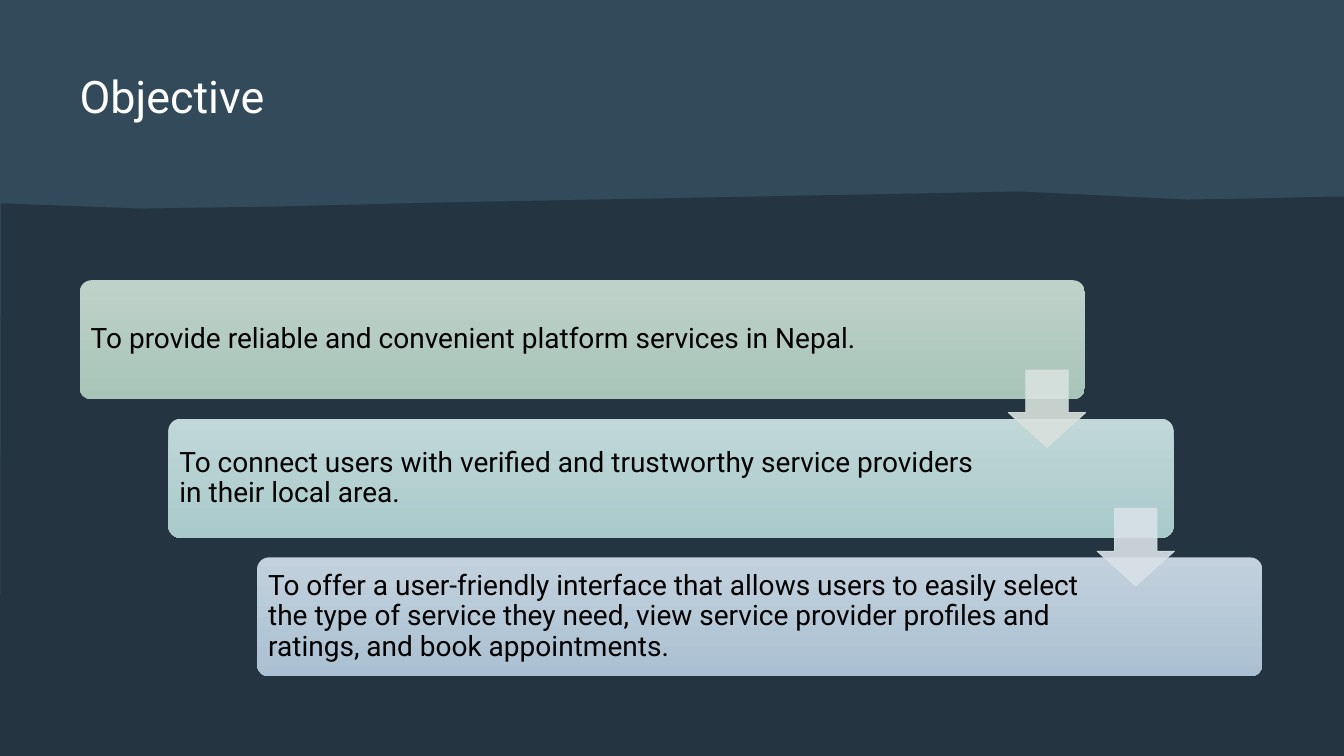
from lxml.etree import SubElement
from pptx import Presentation
from pptx.dml.color import RGBColor
from pptx.enum.shapes import MSO_SHAPE
from pptx.enum.text import MSO_ANCHOR
from pptx.oxml.ns import qn
from pptx.util import Inches, Pt

COLORS = {
    "night": "243541", "slate": "334A5B", "white": "FFFFFF", "black": "000000",
    "green_top": "BFD2CA", "green_end": "A8C4B8",
    "teal_top": "C1D7D8", "teal_end": "A9CACB",
    "blue_top": "C2D1DD", "blue_end": "ABC0D2",
    "green_arrow": "D8E2DE", "blue_arrow": "D9E1E8",
}
WIDTH, HEIGHT = 13.33, 7.5
MARGIN = 0.79
CARD_WIDTH, CARD_HEIGHT = 9.97, 1.18
CARDS_TOP = 2.78
STEP_X = (WIDTH - 2 * MARGIN - CARD_WIDTH) / 2 - 0.01
STEP_Y = 1.375
CARD_PADDING = 0.03
ARROW_SIZE = 0.77


def color(name):
    return RGBColor.from_string(COLORS[name])


def add_text(text, left, top, width, height, *, size, ink, inset=0,
             anchor=MSO_ANCHOR.TOP, spacing=None):
    box = slide.shapes.add_textbox(*map(Inches, (left, top, width, height)))
    frame = box.text_frame
    frame.word_wrap = True
    frame.vertical_anchor = anchor
    frame.margin_left = frame.margin_right = Inches(inset)
    frame.margin_top = frame.margin_bottom = Inches(inset)
    paragraph = frame.paragraphs[0]
    paragraph.text = text
    paragraph.line_spacing = spacing
    paragraph.font.name = "Roboto"
    paragraph.font.size = Pt(size)
    paragraph.font.color.rgb = color(ink)


presentation = Presentation()
presentation.slide_width = Inches(WIDTH)
presentation.slide_height = Inches(HEIGHT)
slide = presentation.slides.add_slide(presentation.slide_layouts[6])
slide.background.fill.solid()
slide.background.fill.fore_color.rgb = color("night")

# Backdrop: a lighter band above a dark, uneven ground
band = slide.shapes.add_shape(
    MSO_SHAPE.RECTANGLE, 0, 0, presentation.slide_width, presentation.slide_height)
band.shadow.inherit = False
band.fill.solid()
band.fill.fore_color.rgb = color("slate")
band.line.fill.background()

ridge = [(0.01, 2.02), (0.08, 2.02), (1.4, 2.07), (2.72, 2.05), (4.36, 2.01),
         (10.12, 1.9), (11.77, 1.98), (12.43, 1.97), (13.23, 1.95), (WIDTH, 1.95)]
outline = slide.shapes.build_freeform(0, Inches(HEIGHT), scale=1.0)
outline.add_line_segments(
    [(Inches(x), Inches(y)) for x, y in ridge + [(WIDTH, HEIGHT)]], close=True)
ground = outline.convert_to_shape()
ground.shadow.inherit = False
ground.fill.solid()
ground.fill.fore_color.rgb = color("night")
ground.line.fill.background()

add_text("Objective", MARGIN, 0.68, WIDTH - 2 * MARGIN, 0.75, size=32, ink="white")

# Staircase of objectives
objectives = [
    ("green", 8.7, "To provide reliable and convenient platform services in Nepal."),
    ("teal", 8.26, "To connect users with verified and trustworthy service providers "
                   "in their local area."),
    ("blue", 8.26, "To offer a user-friendly interface that allows users to easily select "
                   "the type of service they need, view service provider profiles and "
                   "ratings, and book appointments."),
]
for step, (hue, text_width, objective) in enumerate(objectives):
    left, top = MARGIN + step * STEP_X, CARDS_TOP + step * STEP_Y
    card = slide.shapes.add_shape(
        MSO_SHAPE.ROUNDED_RECTANGLE,
        *map(Inches, (left, top, CARD_WIDTH, CARD_HEIGHT)))
    card.adjustments[0] = 0.1
    card.shadow.inherit = False
    card.fill.gradient()
    card.fill.gradient_angle = 270
    for stop, end in zip(card.fill.gradient_stops, ("top", "end")):
        stop.color.rgb = color(f"{hue}_{end}")
    card.line.fill.background()
    add_text(objective, left + CARD_PADDING, top + CARD_PADDING,
             text_width, CARD_HEIGHT - 2 * CARD_PADDING, size=20, ink="black",
             inset=0.08, anchor=MSO_ANCHOR.MIDDLE, spacing=0.9)

# Arrows from each step down to the next
for step, tint in enumerate(("green_arrow", "blue_arrow")):
    arrow = slide.shapes.add_shape(
        MSO_SHAPE.DOWN_ARROW,
        *map(Inches, (10 + step * STEP_X, 3.67 + step * STEP_Y, ARROW_SIZE, ARROW_SIZE)))
    arrow.adjustments[0] = 0.55
    arrow.adjustments[1] = 0.45
    arrow.shadow.inherit = False
    arrow.line.width = Pt(0.5)
    for paint in (arrow.fill, arrow.line.fill):
        paint.solid()
        paint.fore_color.rgb = color(tint)
    for tone in arrow.element.spPr.iter(qn("a:srgbClr")):
        SubElement(tone, qn("a:alpha"), val="90000")

presentation.save("out.pptx")
